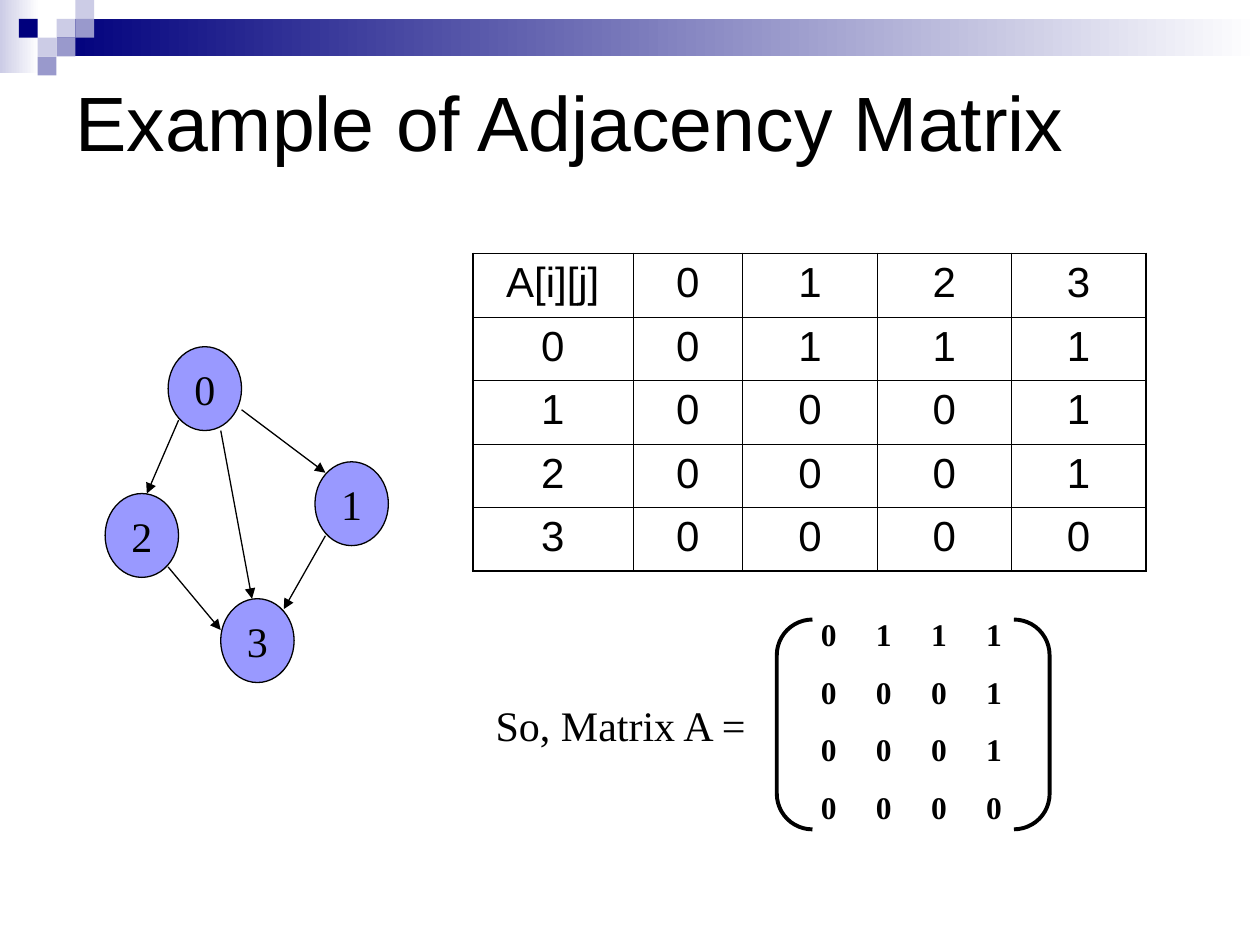
import lxml.etree
import pptx
import pptx.dml.color
import pptx.enum.shapes
import pptx.enum.text
import pptx.oxml.ns
import pptx.util

Cm = pptx.util.Cm
Pt = pptx.util.Pt
RGBColor = pptx.dml.color.RGBColor
MSO_SHAPE = pptx.enum.shapes.MSO_SHAPE
MSO_ANCHOR = pptx.enum.text.MSO_ANCHOR
PP_ALIGN = pptx.enum.text.PP_ALIGN
qn = pptx.oxml.ns.qn

BLACK = RGBColor(0x00, 0x00, 0x00)
WHITE = RGBColor(0xFF, 0xFF, 0xFF)
NAVY = RGBColor(0x00, 0x00, 0x7D)
PALE = RGBColor(0xCC, 0xCC, 0xE6)
LAVENDER = RGBColor(0x99, 0x99, 0xCC)
NODE_BLUE = RGBColor(0x99, 0x99, 0xFF)
SANS = "Arial"
SERIF = "Times New Roman"

SQUARE = 0.38
SQUARES = [(3, 1, PALE), (4, 0, PALE), (4, 1, LAVENDER), (2, 2, PALE),
           (1, 1, NAVY), (3, 2, LAVENDER), (2, 3, LAVENDER)]
NODE_W, NODE_H = 1.48, 1.69
NODES = {"0": (3.39, 6.99), "1": (6.35, 9.31), "3": (4.45, 12.07), "2": (2.12, 9.95)}
EDGES = [(3.6, 8.47, 2.96, 9.95), (3.39, 11.43, 4.45, 12.7), (4.87, 8.26, 6.56, 9.53),
         (6.56, 10.8, 5.72, 12.28), (4.45, 8.68, 5.08, 12.07)]
ADJACENCY = ["0111", "0001", "0001", "0000"]
COL_WIDTHS = [3.23, 2.21, 2.72, 2.69, 2.72]
ROW_HEIGHT = 1.28
MATRIX_PITCH = 1.11


def box(x, y, w, h):
    """Return a position and size in centimetres as lengths."""
    return Cm(x), Cm(y), Cm(w), Cm(h)


def format_text(tf, font, size, bold=False, before=0, align=PP_ALIGN.LEFT):
    """Format every paragraph and run of a text frame."""
    for p in tf.paragraphs:
        p.alignment = align
        p.space_before = Pt(before)
        for r in p.runs:
            r.font.name = font
            r.font.size = Pt(size)
            r.font.bold = bold
            r.font.color.rgb = BLACK


def add_text(s, place, text, font, size, **style):
    """Add a wrapping text box and return its text frame."""
    tf = s.shapes.add_textbox(*place).text_frame
    tf.word_wrap = True
    tf.text = text
    format_text(tf, font, size, **style)
    return tf


def add_rect(s, place, color, fade_to=None):
    """Add a borderless rectangle, plain or fading to the right."""
    sp = s.shapes.add_shape(MSO_SHAPE.RECTANGLE, *place)
    sp.shadow.inherit = False
    sp.line.fill.background()
    if fade_to is None:
        sp.fill.solid()
        sp.fill.fore_color.rgb = color
    else:
        sp.fill.gradient()
        sp.fill.gradient_angle = 0
        for stop, rgb in zip(sp.fill.gradient_stops, (color, fade_to)):
            stop.color.rgb = rgb


def add_banner(s):
    """Add the fading bars and the mosaic of squares at the top."""
    add_rect(s, box(0, 0, 0.79, 1.47), PALE, WHITE)
    add_rect(s, box(1.14, 0.38, 24.26, 0.75), NAVY, WHITE)
    for col, row, color in SQUARES:
        add_rect(s, box(col * SQUARE, row * SQUARE, SQUARE, SQUARE), color)


def set_border(cell, side, width):
    """Draw one black side of a table cell."""
    ln = lxml.etree.SubElement(cell._tc.get_or_add_tcPr(), qn("a:ln" + side), w=str(Pt(width)))
    fill = lxml.etree.SubElement(ln, qn("a:solidFill"))
    lxml.etree.SubElement(fill, qn("a:srgbClr"), val=str(BLACK))


def add_adjacency_table(s):
    """Add the adjacency table with its row and column headings."""
    rows = [["A[i][j]", *"0123"]] + [[str(i), *row] for i, row in enumerate(ADJACENCY)]
    last = len(rows) - 1
    place = box(9.53, 5.11, sum(COL_WIDTHS), ROW_HEIGHT * len(rows))
    table = s.shapes.add_table(len(rows), len(COL_WIDTHS), *place).table
    table.first_row = table.horz_banding = False
    for column, width in zip(table.columns, COL_WIDTHS):
        column.width = Cm(width)
    for i, row in enumerate(rows):
        table.rows[i].height = Cm(ROW_HEIGHT)
        for j, text in enumerate(row):
            cell = table.cell(i, j)
            cell.text_frame.text = text
            format_text(cell.text_frame, SANS, 24, before=6, align=PP_ALIGN.CENTER)
            outer = {"L": j == 0, "R": j == last, "T": i == 0, "B": i == last}
            for side, is_outer in outer.items():
                set_border(cell, side, 1.08 if is_outer else 0.45)
            cell.fill.background()


def add_node(s, label, x, y):
    """Add one labelled graph node."""
    sp = s.shapes.add_shape(MSO_SHAPE.OVAL, *box(x, y, NODE_W, NODE_H))
    sp.shadow.inherit = False
    sp.fill.solid()
    sp.fill.fore_color.rgb = NODE_BLUE
    sp.line.color.rgb = BLACK
    sp.line.width = Pt(0.75)
    tf = sp.text_frame
    tf.word_wrap = False
    tf.vertical_anchor = MSO_ANCHOR.MIDDLE
    tf.text = label
    format_text(tf, SERIF, 24, align=PP_ALIGN.CENTER)


def add_edge(s, x1, y1, x2, y2):
    """Add one directed graph edge."""
    straight = pptx.enum.shapes.MSO_CONNECTOR.STRAIGHT
    cx = s.shapes.add_connector(straight, *box(x1, y1, x2, y2))
    cx.line.color.rgb = BLACK
    cx.line.width = Pt(0.75)
    lxml.etree.SubElement(cx.line._get_or_add_ln(), qn("a:tailEnd"), type="triangle")
    lxml.etree.SubElement(cx._element.spPr, qn("a:effectLst"))


def add_matrix(s):
    """Add the bracketed matrix with tab-aligned columns."""
    sp = s.shapes.add_shape(MSO_SHAPE.DOUBLE_BRACKET, *box(15.66, 12.49, 5.5, 4.23))
    sp.shadow.inherit = False
    sp.adjustments[0] = 0.17
    sp.fill.background()
    sp.line.color.rgb = BLACK
    sp.line.width = Pt(2.25)
    text = "\n".join("\t".join(row) for row in ADJACENCY)
    tf = add_text(s, box(16.3, 12.28, 4.65, 4.5), text, SERIF, 18, bold=True, before=11.2)
    for p in tf.paragraphs:
        tabs = lxml.etree.SubElement(p._p.get_or_add_pPr(), qn("a:tabLst"))
        for col in range(1, len(ADJACENCY)):
            pos = str(Cm(col * MATRIX_PITCH))
            lxml.etree.SubElement(tabs, qn("a:tab"), pos=pos, algn="l")


def main():
    """Build the adjacency matrix slide."""
    prs = pptx.Presentation()
    prs.slide_width, prs.slide_height = Cm(25.4), Cm(19.05)
    s = prs.slides.add_slide(prs.slide_layouts[6])
    add_banner(s)
    title = add_text(s, box(1.27, 0.85, 23.92, 3.18), "Example of Adjacency Matrix", SANS, 44)
    title.vertical_anchor = MSO_ANCHOR.MIDDLE
    add_adjacency_table(s)
    for label, (x, y) in NODES.items():
        add_node(s, label, x, y)
    for edge in EDGES:
        add_edge(s, *edge)
    add_text(s, box(9.53, 13.97, 6.35, 1.27), " So, Matrix A =", SERIF, 24, before=15)
    add_matrix(s)
    prs.save("out.pptx")


if __name__ == "__main__":
    main()
